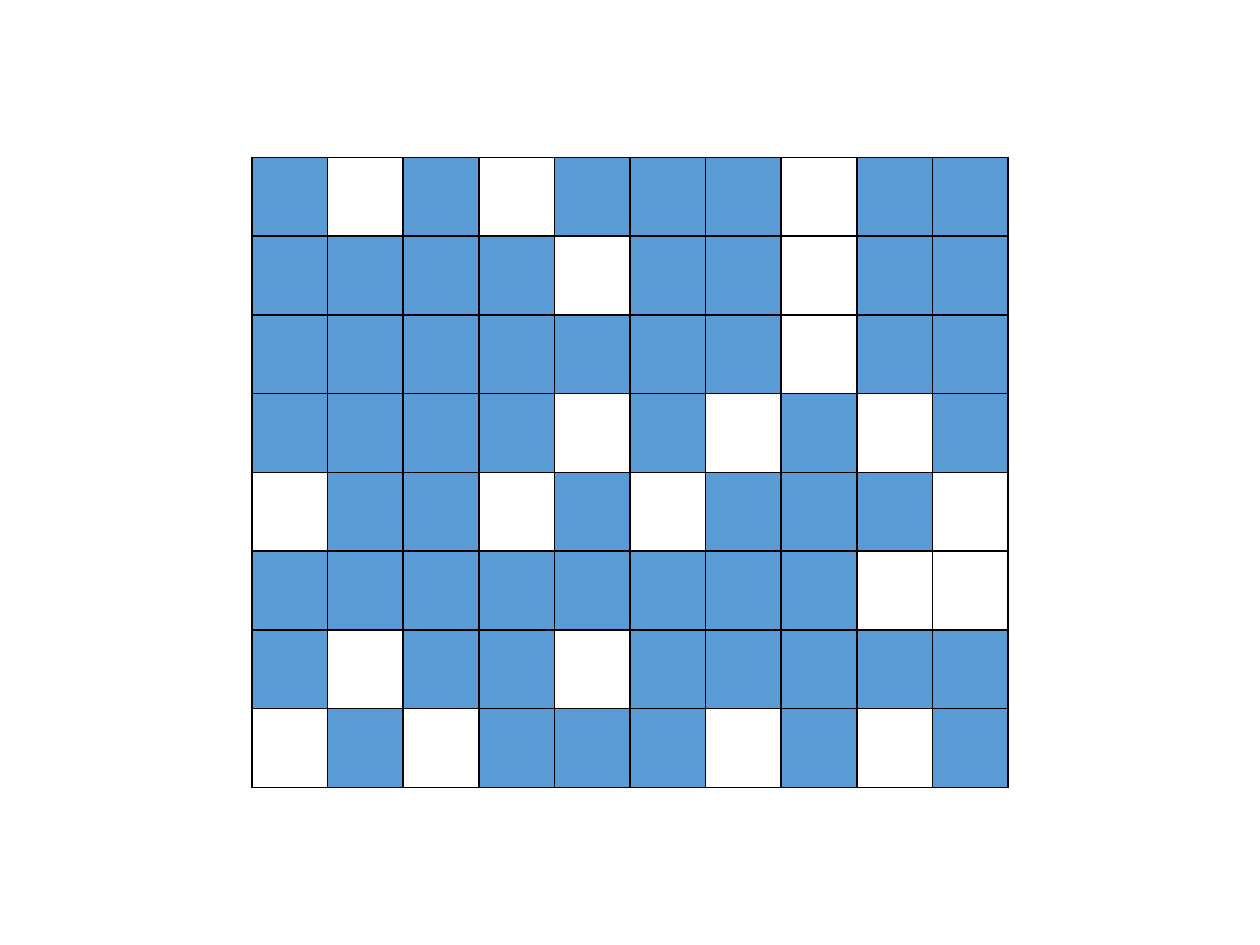
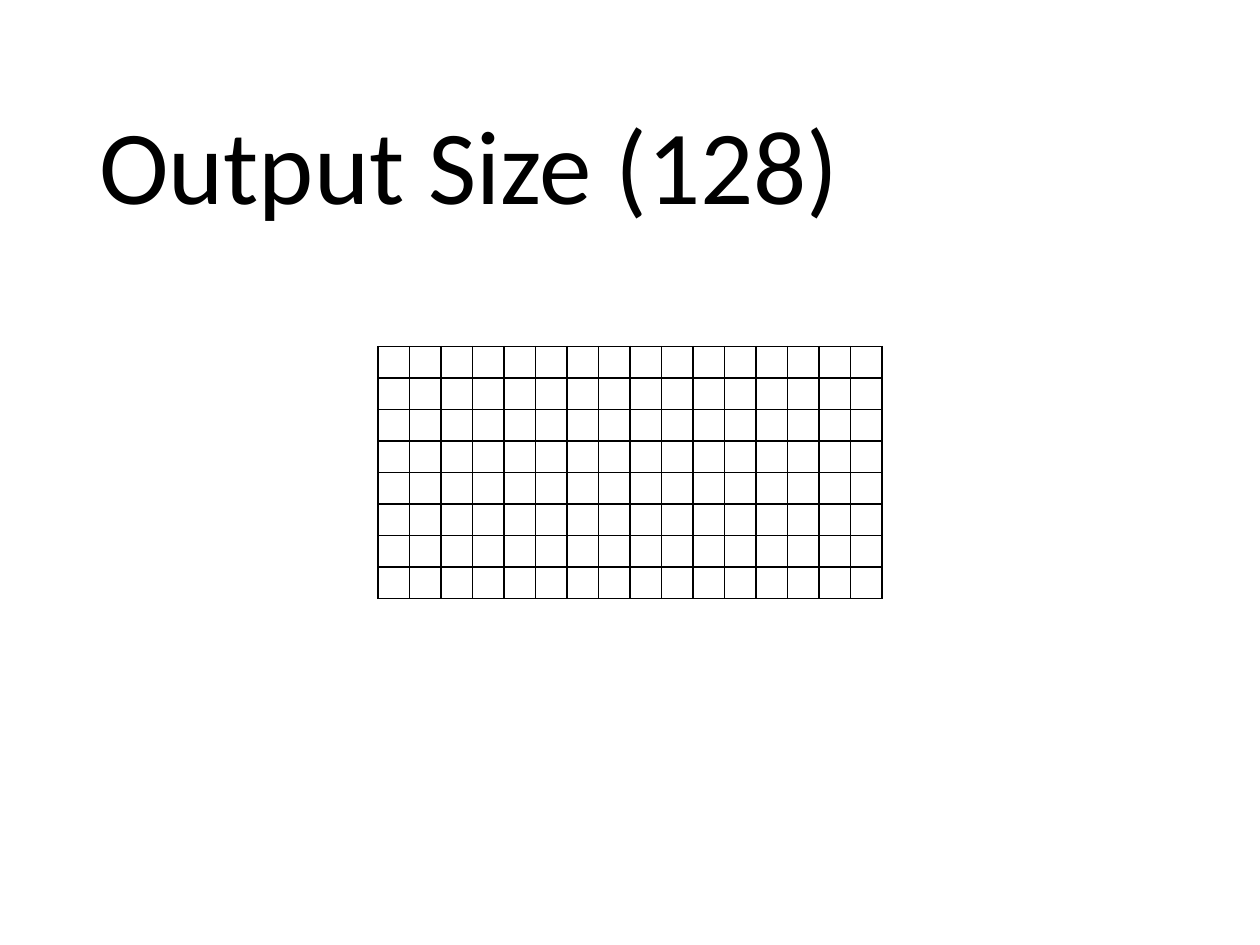
from itertools import product
from lxml.etree import SubElement
from pptx import Presentation
from pptx.dml.color import RGBColor
from pptx.enum.text import MSO_ANCHOR, MSO_AUTO_SIZE, PP_ALIGN
from pptx.oxml.ns import qn
from pptx.util import Pt

BLUE, BLACK, WHITE = "5B9BD5", "000000", "FFFFFF"
FONT = "Calibri"
TITLE_ONLY, BLANK = 5, 6

FILLED_CELLS = [
    "#.#.###.##",
    "####.##.##",
    "#######.##",
    "####.#.#.#",
    ".##.#.###.",
    "########..",
    "#.##.#####",
    ".#.###.#.#",
]
FILLED_GRID = {"left": 144, "top": 90, "width": 43.2, "height": 45}

OUTPUT_TITLE = "Output Size (128)"
TITLE_PLACE = {"left": 49.5, "top": 28.75, "width": 621, "height": 104.5}
TITLE_FRAME = {"word_wrap": True, "auto_size": MSO_AUTO_SIZE.NONE,
               "vertical_anchor": MSO_ANCHOR.BOTTOM}
TITLE_PARA = {"line_spacing": 0.9, "alignment": PP_ALIGN.LEFT}
TITLE_FONT = {"name": FONT, "size": Pt(60), "bold": False}

QUARTER_CELLS = ["." * 8] * 4
QUARTER_CELL = 18
QUARTERS_LEFT, QUARTERS_TOP = 216, 198

TABLE_FLAGS = {"first_row": False, "horz_banding": False}
CELL_MARGINS = dict.fromkeys(
    ("margin_left", "margin_right", "margin_top", "margin_bottom"), Pt(0))


def apply(target, values):
    for name, value in values.items():
        setattr(target, name, value)


def colour(code):
    return RGBColor.from_string(code)


def add_borders(cell):
    properties = cell._tc.get_or_add_tcPr()
    for side in ("a:lnL", "a:lnR", "a:lnT", "a:lnB"):
        line = SubElement(properties, qn(side), w=str(Pt(1)))
        fill = SubElement(line, qn("a:solidFill"))
        SubElement(fill, qn("a:srgbClr"), val=BLACK)


def add_grid(page, pattern, left, top, width, height):
    rows, columns = len(pattern), len(pattern[0])
    table = page.shapes.add_table(
        rows, columns, Pt(left), Pt(top),
        Pt(width * columns), Pt(height * rows)).table
    apply(table, TABLE_FLAGS)
    for column in table.columns:
        column.width = Pt(width)
    for row in table.rows:
        row.height = Pt(height)
    for row, column in product(range(rows), range(columns)):
        cell = table.cell(row, column)
        apply(cell, CELL_MARGINS)
        add_borders(cell)
        cell.fill.solid()
        cell.fill.fore_color.rgb = colour(
            BLUE if pattern[row][column] == "#" else WHITE)
        para = cell.text_frame.paragraphs[0]
        SubElement(para._p, qn("a:endParaRPr"), sz="800")


def add_title(page, text):
    title = page.shapes.title
    apply(title, {name: Pt(value) for name, value in TITLE_PLACE.items()})
    title.text = text
    apply(title.text_frame, TITLE_FRAME)
    para = title.text_frame.paragraphs[0]
    apply(para, TITLE_PARA)
    span = para.runs[0]
    apply(span.font, TITLE_FONT)
    span.font.color.rgb = colour(BLACK)


def main():
    deck = Presentation()
    apply(deck, {"slide_width": Pt(720), "slide_height": Pt(540)})

    page = deck.slides.add_slide(deck.slide_layouts[BLANK])
    add_grid(page, FILLED_CELLS, **FILLED_GRID)

    page = deck.slides.add_slide(deck.slide_layouts[TITLE_ONLY])
    add_title(page, OUTPUT_TITLE)
    across = len(QUARTER_CELLS[0]) * QUARTER_CELL
    down = len(QUARTER_CELLS) * QUARTER_CELL
    for column, row in product(range(2), range(2)):
        add_grid(page, QUARTER_CELLS, QUARTERS_LEFT + column * across,
                 QUARTERS_TOP + row * down, QUARTER_CELL, QUARTER_CELL)

    deck.save("out.pptx")


if __name__ == "__main__":
    main()
